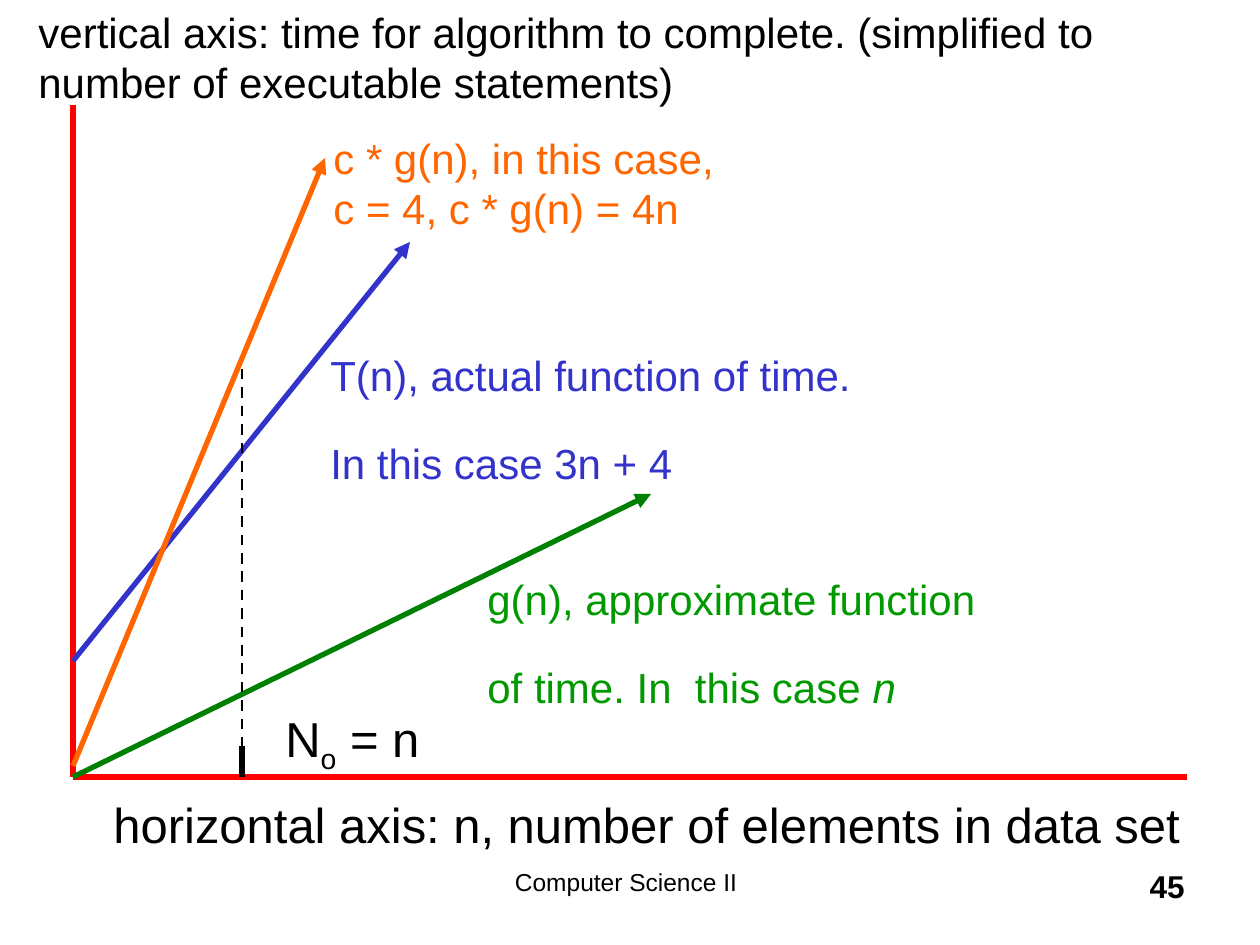
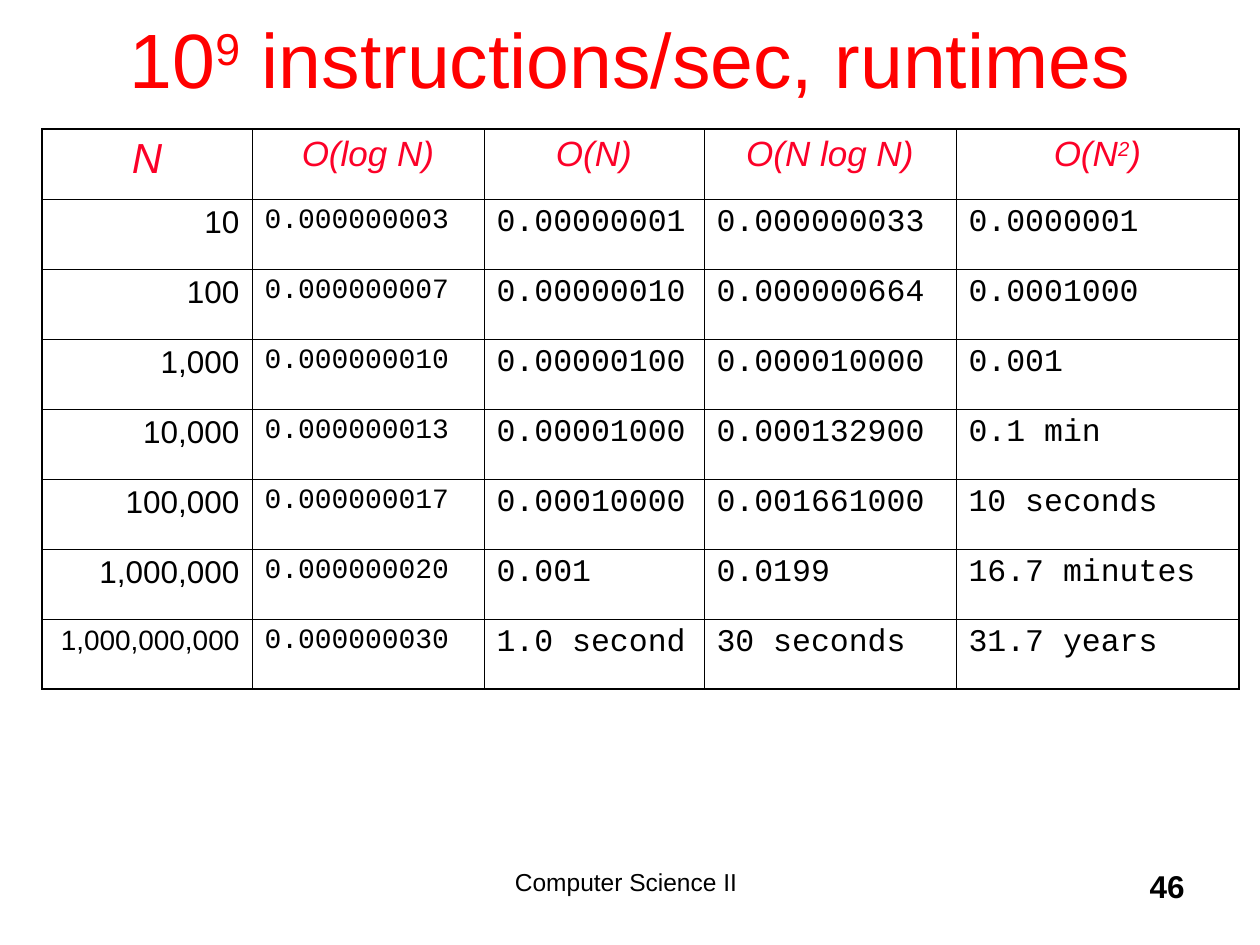
from dataclasses import dataclass

from lxml import etree
from pptx import Presentation
from pptx.dml.color import RGBColor
from pptx.enum.dml import MSO_LINE
from pptx.enum.shapes import MSO_CONNECTOR
from pptx.enum.text import MSO_ANCHOR, MSO_AUTO_SIZE, PP_ALIGN
from pptx.oxml.ns import qn
from pptx.util import Emu, Pt

LEFT, CENTER, RIGHT = PP_ALIGN.LEFT, PP_ALIGN.CENTER, PP_ALIGN.RIGHT
MIDDLE = MSO_ANCHOR.MIDDLE
STRAIGHT = MSO_CONNECTOR.STRAIGHT
DASH = MSO_LINE.DASH
FIT_SHAPE, FIXED = MSO_AUTO_SIZE.SHAPE_TO_FIT_TEXT, MSO_AUTO_SIZE.NONE
TITLE_ONLY, BLANK = 5, 6
EMU_PER_PX = 914400 / 126


@dataclass(frozen=True)
class Theme:
    """Colours, fonts, type sizes and line widths shared by the slides."""
    ink: str = "000000"
    red: str = "FF0000"
    heading: str = "FC0128"
    actual: str = "3333CC"
    bound: str = "FF6600"
    approximate: str = "008000"
    approximate_label: str = "009900"
    sans: str = "Arial"
    mono: str = "Courier New"
    title: int = 44
    axis: int = 28
    label: int = 24
    column: int = 20
    value: int = 18
    small: int = 16
    footer: int = 14
    plot_line: float = 3
    guide_line: float = 1.5
    outer_border: float = 1.08
    inner_border: float = 0.45


THEME = Theme()

RUNTIMES = [
    ("10", "0.000000003", "0.00000001", "0.000000033", "0.0000001"),
    ("100", "0.000000007", "0.00000010", "0.000000664", "0.0001000"),
    ("1,000", "0.000000010", "0.00000100", "0.000010000", "0.001"),
    ("10,000", "0.000000013", "0.00001000", "0.000132900", "0.1 min"),
    ("100,000", "0.000000017", "0.00010000", "0.001661000", "10 seconds"),
    ("1,000,000", "0.000000020", "0.001", "0.0199", "16.7 minutes"),
    ("1,000,000,000", "0.000000030", "1.0 second", "30 seconds", "31.7 years"),
]
GROWTH_RATES = [
    [("N", {})],
    [("O(log N)", {})],
    [("O(N)", {})],
    [("O(N log N)", {})],
    [("O(N", {}), ("2", {"baseline": 30}), (")", {})],
]
COLUMN_WIDTHS = (210, 232, 220, 252, 283)
ROW_HEIGHT = 70


def px(length):
    """Turn pixels into EMU."""
    return Emu(round(length * EMU_PER_PX))


def assign(target, values):
    """Set attributes of the target from a dict."""
    for name, value in values.items():
        setattr(target, name, value)


def place(shape, box):
    """Move and size a shape by a pixel box."""
    assign(shape, dict(zip(("left", "top", "width", "height"), map(px, box))))


def write(frame, parts, size, color=THEME.ink, font=THEME.sans, align=LEFT,
          spaced=True, **font_values):
    """Write styled runs in one paragraph, with a quarter of the size before it."""
    paragraph = frame.paragraphs[0]
    assign(paragraph, {"alignment": align, "space_before": Pt(size / 4 if spaced else 0)})
    for text, changes in parts:
        values = {"size": Pt(size), "name": font, **font_values, **changes}
        baseline = values.pop("baseline", 0)
        for index, line in enumerate(text.split("\n")):
            if index:
                paragraph.add_line_break()
            run = paragraph.add_run()
            run.text = line
            assign(run.font, values)
            run.font.color.rgb = RGBColor.from_string(color)
            if baseline:
                run._r.get_or_add_rPr().set("baseline", str(baseline * 1000))


def add_label(slide, box, parts, size, color=THEME.ink):
    """Add an unwrapped label that grows with its text."""
    label = slide.shapes.add_textbox(*map(px, box))
    assign(label.text_frame, {"word_wrap": False, "auto_size": FIT_SHAPE})
    write(label.text_frame, parts, size, color)


def add_footer(slide, number):
    """Add the course name and the page number."""
    for box, text, size, align, bold in (
        ((388, 861, 483, 63), "Computer Science II ", THEME.footer, CENTER, False),
        ((935, 861, 262, 63), str(number), THEME.value, RIGHT, True),
    ):
        note = slide.shapes.add_textbox(*map(px, box))
        note.text_frame.word_wrap = True
        write(note.text_frame, [(text, {})], size, align=align, spaced=False, bold=bold)


def add_line(slide, start, end, color, width=THEME.plot_line, arrow=False, dash=None):
    """Add a straight line, with an arrowhead or dashes if asked."""
    connector = slide.shapes.add_connector(STRAIGHT, *map(px, (*start, *end)))
    line = connector.line
    line.color.rgb = RGBColor.from_string(color)
    assign(line, {"width": Pt(width), "dash_style": dash})
    if arrow:
        etree.SubElement(line._get_or_add_ln(), qn("a:tailEnd"), type="triangle")
    etree.SubElement(connector._element.spPr, qn("a:effectLst"))


def add_title(slide, parts):
    """Fill the title placeholder in the shared title style."""
    title = slide.shapes.title
    place(title, (95, -21, 1071, 158))
    assign(title.text_frame, {"word_wrap": True, "auto_size": FIXED,
                              "vertical_anchor": MIDDLE})
    write(title.text_frame, parts, THEME.title, THEME.red, align=CENTER, spaced=False)


def border_cell(cell, outer_sides):
    """Draw thick borders on the outer sides and thin ones elsewhere."""
    properties = cell._tc.get_or_add_tcPr()
    for side in "LRTB":
        width = THEME.outer_border if side in outer_sides else THEME.inner_border
        border = etree.SubElement(properties, qn(f"a:ln{side}"), w=str(Pt(width)))
        fill = etree.SubElement(border, qn("a:solidFill"))
        etree.SubElement(fill, qn("a:srgbClr"), val=THEME.ink)


def cell_style(row, column):
    """Return the text style for a cell of the runtime table."""
    if row == 0:
        return {"size": THEME.column if column else THEME.label,
                "color": THEME.heading, "align": CENTER, "italic": True}
    narrow = column == 1 or (column == 0 and row == len(RUNTIMES))
    return {"size": THEME.small if narrow else THEME.value,
            "font": THEME.mono if column else THEME.sans,
            "align": LEFT if column else RIGHT}


def add_runtime_table(slide, left, top):
    """Add the table of running times by input size and growth rate."""
    rows = [GROWTH_RATES] + [[[(text, {})] for text in row] for row in RUNTIMES]
    last_row, last_column = len(rows) - 1, len(COLUMN_WIDTHS) - 1
    box = (left, top, sum(COLUMN_WIDTHS), ROW_HEIGHT * len(rows))
    table = slide.shapes.add_table(len(rows), len(COLUMN_WIDTHS), *map(px, box)).table
    assign(table, {"first_row": False, "horz_banding": False})
    for column, width in zip(table.columns, COLUMN_WIDTHS):
        column.width = px(width)
    for r, row in enumerate(rows):
        table.rows[r].height = px(ROW_HEIGHT)
        for c, parts in enumerate(row):
            cell = table.cell(r, c)
            edges = {"L": c == 0, "R": c == last_column, "T": r == 0, "B": r == last_row}
            border_cell(cell, [side for side, outer in edges.items() if outer])
            cell.fill.background()
            write(cell.text_frame, parts, **cell_style(r, c))


def build_growth_slide(deck):
    """Build the plot of the actual, approximate and bounding functions."""
    slide = deck.slides.add_slide(deck.slide_layouts[BLANK])
    add_footer(slide, 45)
    axis_x, axis_y, crossing_x = 73, 777, 242
    origin = (axis_x, axis_y)

    add_line(slide, origin, (1187, axis_y), THEME.red)
    add_label(slide, (101, 788, 1091, 72),
              [("horizontal axis: n, number of elements in data set", {})], THEME.axis)
    add_line(slide, origin, (axis_x, 105), THEME.red)
    add_label(slide, (26, 0, 1080, 113),
              [("vertical axis: time for algorithm to complete. (simplified to\n"
                "number of executable statements)", {})], THEME.label)

    add_line(slide, (axis_x, 661), (410, 242), THEME.actual, arrow=True)
    add_label(slide, (318, 343, 557, 113),
              [("T(n), actual function of time. \nIn this case 3n + 4", {})],
              THEME.label, THEME.actual)

    add_line(slide, origin, (651, 494), THEME.approximate, arrow=True)
    add_label(slide, (475, 567, 524, 113),
              [("g(n), approximate function \nof time. In  this case ", {}),
               ("n", {"italic": True})], THEME.label, THEME.approximate_label)

    add_line(slide, (crossing_x, 746), (crossing_x, axis_y), THEME.ink)
    add_label(slide, (273, 702, 173, 79),
              [("N", {}), ("o", {"baseline": -25}), (" = n", {})], THEME.axis)

    add_line(slide, (axis_x, 766), (325, 158), THEME.bound, arrow=True)
    add_label(slide, (321, 126, 417, 113),
              [("c * g(n), in this case, \nc = 4, c * g(n) = 4n", {})],
              THEME.label, THEME.bound)
    add_line(slide, (crossing_x, 766), (crossing_x, 368), THEME.ink,
             THEME.guide_line, dash=DASH)


def build_runtime_slide(deck):
    """Build the slide that compares running times."""
    slide = deck.slides.add_slide(deck.slide_layouts[TITLE_ONLY])
    add_footer(slide, 46)
    add_title(slide, [("10", {}), ("9", {"baseline": 30}),
                      (" instructions/sec, runtimes", {})])
    add_runtime_table(slide, 42, 129)


def main():
    """Build both slides and save the deck."""
    deck = Presentation()
    assign(deck, {"slide_width": px(1260), "slide_height": px(945)})
    build_growth_slide(deck)
    build_runtime_slide(deck)
    deck.save("out.pptx")


if __name__ == "__main__":
    main()
